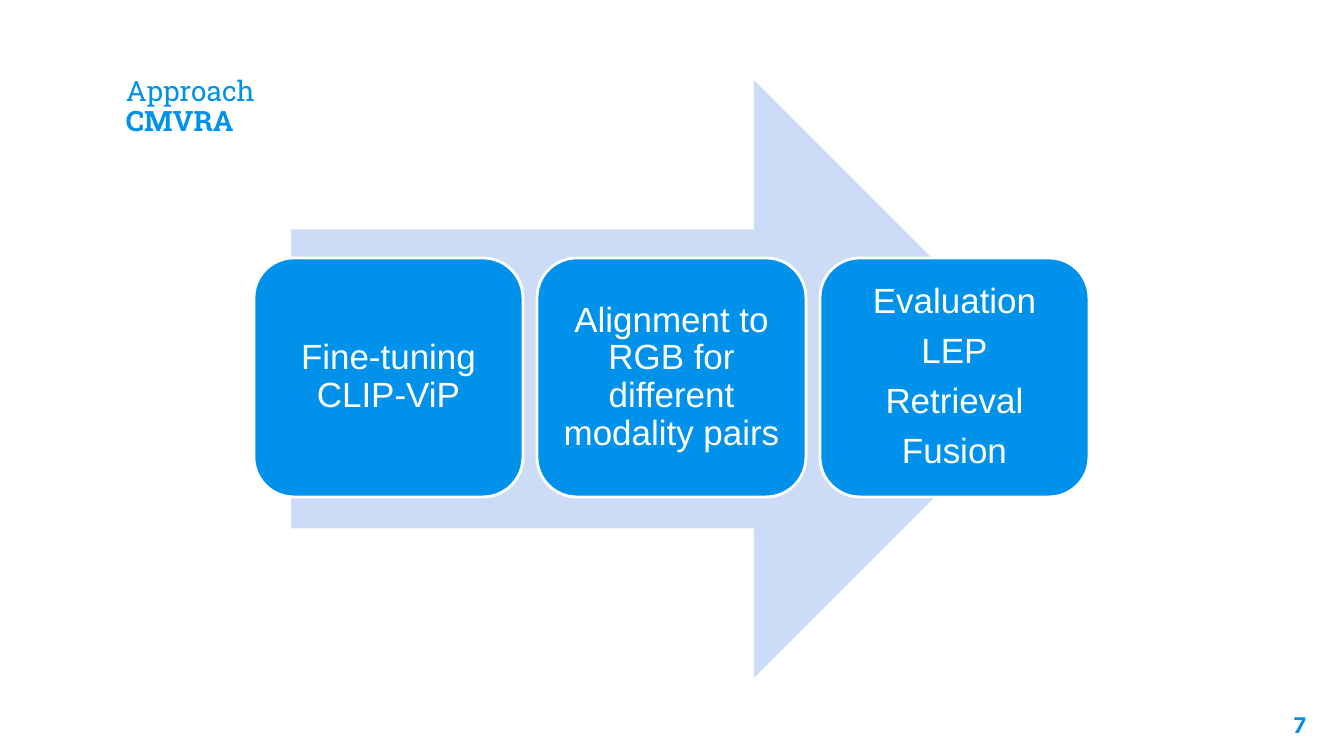
import pptx
import pptx.dml.color
import pptx.enum.shapes
import pptx.enum.text
import pptx.util

EMU_PER_PX = 914400 / 100.8
COLOURS = {"blue": "0091EA", "pale": "CCDCF7", "white": "FFFFFF"}
SHAPES = pptx.enum.shapes.MSO_SHAPE
ALIGN = pptx.enum.text.PP_ALIGN
ANCHOR = pptx.enum.text.MSO_ANCHOR


def px(length):
    return pptx.util.Emu(round(length * EMU_PER_PX))


def colour(name):
    return pptx.dml.color.RGBColor.from_string(COLOURS[name])


class SlideBuilder:
    def __init__(self, page):
        self.page = page

    def frame(self, box, anchor):
        frame = box.text_frame
        frame.word_wrap = True
        frame.auto_size = pptx.enum.text.MSO_AUTO_SIZE.NONE
        frame.vertical_anchor = anchor
        frame.margin_left = frame.margin_right = px(10)
        frame.margin_top = frame.margin_bottom = px(10)
        return frame

    def span(self, para, text, font, size, ink, bold=False):
        span = para.add_run()
        span.text = text
        span.font.name = font
        span.font.size = pptx.util.Pt(size)
        span.font.bold = bold
        span.font.color.rgb = colour(ink)

    def title(self, area, topic, name):
        box = self.page.shapes.title
        box.left, box.top, box.width, box.height = map(px, area)
        para = self.frame(box, ANCHOR.BOTTOM).paragraphs[0]
        para.alignment = ALIGN.LEFT
        para.line_spacing = 0.9
        self.span(para, topic, "Roboto Slab", 20, "blue")
        para.add_line_break()
        self.span(para, name, "Roboto Slab", 20, "blue", bold=True)

    def page_number(self, area, number):
        box = self.page.shapes.add_textbox(*map(px, area))
        para = self.frame(box, ANCHOR.TOP).paragraphs[0]
        para.alignment = ALIGN.RIGHT
        self.span(para, number, "Karla", 17.3, "blue", bold=True)

    def shape(self, kind, area, fill):
        shape = self.page.shapes.add_shape(kind, *map(px, area))
        shape.shadow.inherit = False
        shape.fill.solid()
        shape.fill.fore_color.rgb = colour(fill)
        shape.line.fill.background()
        return shape

    def card(self, area, lines):
        card = self.shape(SHAPES.ROUNDED_RECTANGLE, area, "blue")
        card.line.color.rgb = colour("white")
        card.line.width = pptx.util.Pt(2)
        frame = self.frame(card, ANCHOR.MIDDLE)
        for index, line in enumerate(lines):
            para = frame.add_paragraph() if index else frame.paragraphs[0]
            para.alignment = ALIGN.CENTER
            para.line_spacing = 0.9
            para.space_after = pptx.util.Pt(8.75)
            self.span(para, line, "Arial", 25, "white")


def main():
    deck = pptx.Presentation()
    deck.slide_width, deck.slide_height = px(1344), px(756)
    title_only = deck.slide_layouts[5]
    builder = SlideBuilder(deck.slides.add_slide(title_only))

    builder.title((116, 45, 1113, 103), "Approach", "CMVRA")
    builder.page_number((1235, 699, 81, 57), "7")
    builder.shape(SHAPES.RIGHT_ARROW, (291, 80, 762, 598), "pale")

    steps = [
        ["Fine-tuning CLIP-ViP"],
        ["Alignment to RGB for different modality pairs"],
        ["Evaluation", "LEP", "Retrieval", "Fusion"],
    ]
    for index, lines in enumerate(steps):
        builder.card((254 + 283 * index, 258, 269, 239), lines)

    deck.save("out.pptx")


if __name__ == "__main__":
    main()
